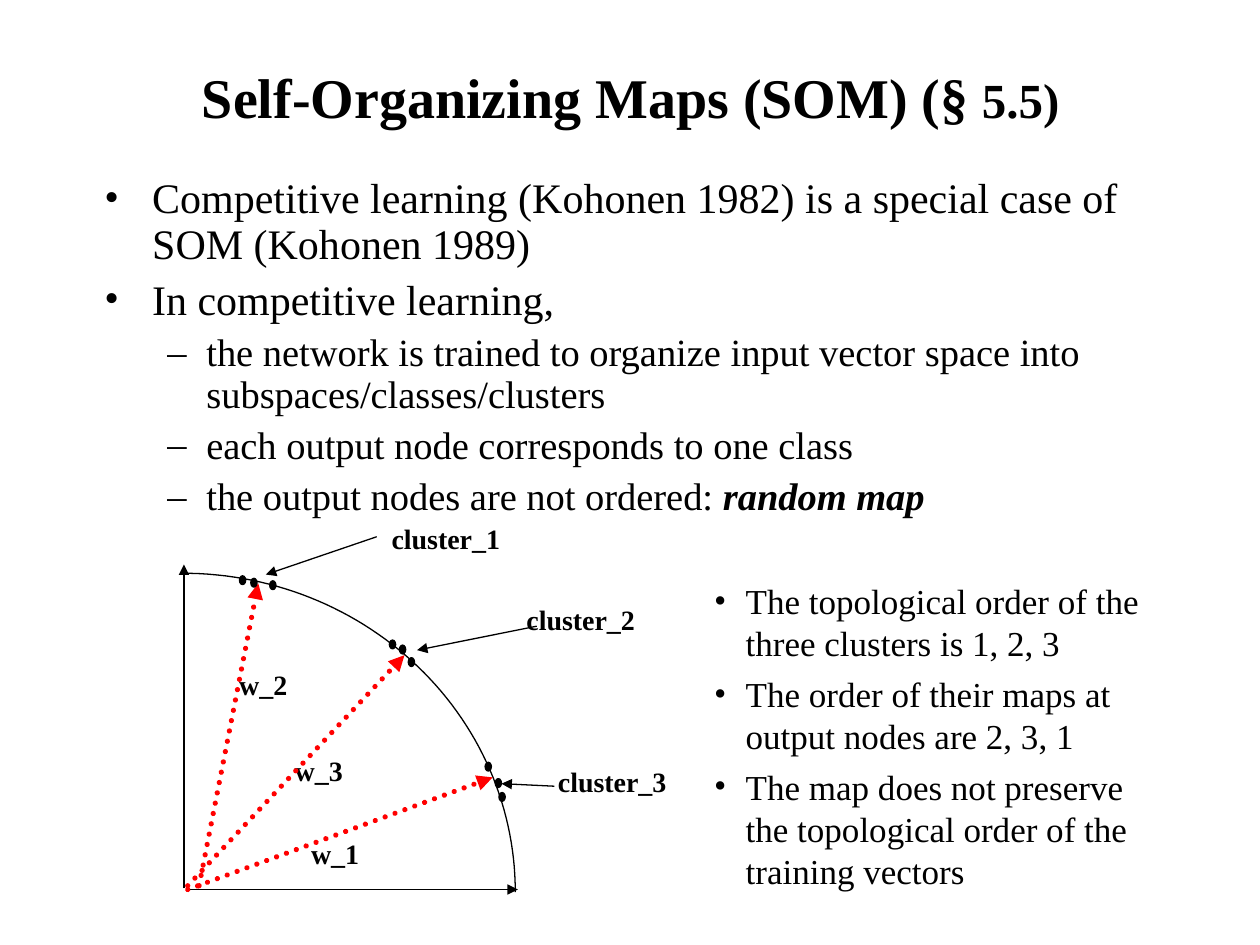
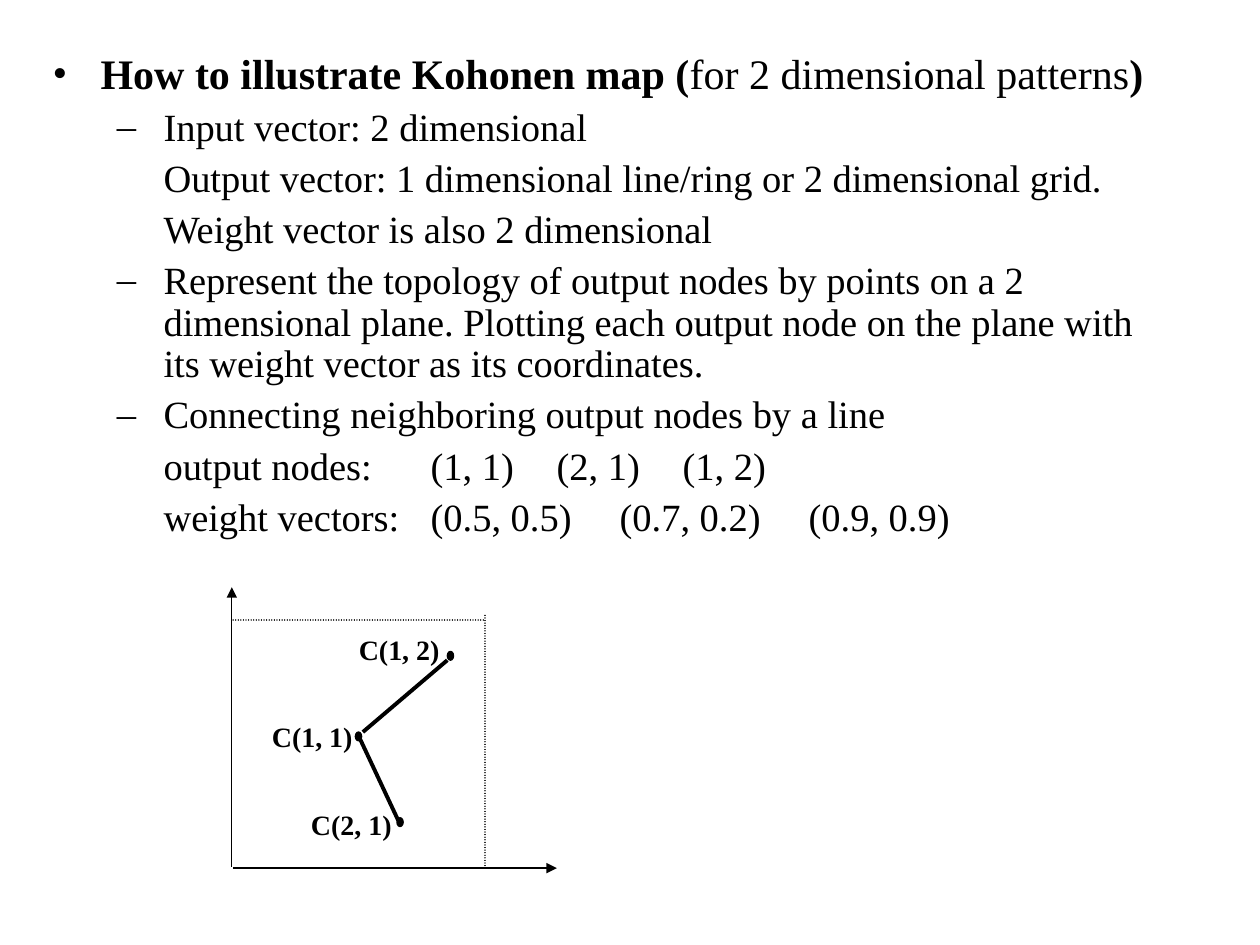
from dataclasses import dataclass
from math import cos, pi, sin

from lxml.etree import SubElement
from pptx import Presentation
from pptx.dml.color import RGBColor
from pptx.enum.dml import MSO_LINE
from pptx.enum.shapes import MSO_CONNECTOR, MSO_SHAPE
from pptx.enum.text import MSO_ANCHOR, PP_ALIGN
from pptx.oxml.ns import qn
from pptx.util import Inches, Pt

FONT = "Times New Roman"
COLORS = {"ink": "000000", "weight": "FF0000"}
DOT_WIDTH, DOT_HEIGHT = 0.05, 0.07
LABEL_HEIGHT = 0.37


@dataclass(frozen=True)
class Segment:
    text: str
    bold: bool = False
    italic: bool = False
    size: float = 0  # 0 keeps the size of the paragraph style


@dataclass(frozen=True)
class Style:
    size: float
    space_before: float = 0
    line_spacing: float = 1.0
    margin: float = 0
    indent: float = 0
    bullet: str = ""
    align: PP_ALIGN = PP_ALIGN.LEFT
    tabs: tuple[float, ...] = ()


@dataclass(frozen=True)
class Item:
    style: Style
    segments: tuple[Segment, ...]


@dataclass(frozen=True)
class Line:
    start: tuple[float, float]
    end: tuple[float, float]
    width: float = 0.75
    color: str = "ink"
    arrow: bool = False
    dotted: bool = False


@dataclass(frozen=True)
class Label:
    text: str
    left: float
    top: float
    width: float


TITLE = Style(32, align=PP_ALIGN.CENTER)
LABEL = Style(16)
TOPIC = Style(24, 6, 0.9, 0.38, -0.38, "•")
POINT = Style(22, 5.5, 0.9, 0.81, -0.31, "–")
WIDE_POINT = Style(22, 5.5, 0.9, 0.88, -0.37, "–")
CONTINUATION = Style(22, 5.5, 0.9, 0, 0.88, tabs=(2.88, 4.2, 5.56))
REMARK = Style(20, 5, 1.0, 0.25, -0.25, "•")


def item(style: Style, text: str) -> Item:
    return Item(style, (Segment(text),))


def rgb(name: str) -> RGBColor:
    return RGBColor.from_string(COLORS[name])


def format_paragraph(paragraph, style: Style, is_first: bool) -> None:
    paragraph.alignment = style.align
    paragraph.line_spacing = style.line_spacing
    paragraph.space_before = Pt(0 if is_first else style.space_before)
    properties = paragraph._p.get_or_add_pPr()
    properties.set("marL", str(Inches(style.margin)))
    properties.set("indent", str(Inches(style.indent)))
    if style.bullet:
        bullet_color = SubElement(properties, qn("a:buClr"))
        SubElement(bullet_color, qn("a:srgbClr"), val=COLORS["ink"])
        SubElement(properties, qn("a:buFont"), typeface=FONT)
        SubElement(properties, qn("a:buChar"), char=style.bullet)
    else:
        SubElement(properties, qn("a:buNone"))
    if style.tabs:
        tab_list = SubElement(properties, qn("a:tabLst"))
        for position in style.tabs:
            SubElement(tab_list, qn("a:tab"), pos=str(Inches(position)), algn="l")


def add_text(slide, left: float, top: float, width: float, height: float,
             items: list[Item], anchor: MSO_ANCHOR = MSO_ANCHOR.TOP) -> None:
    box = slide.shapes.add_textbox(Inches(left), Inches(top), Inches(width), Inches(height))
    frame = box.text_frame
    frame.word_wrap = True
    frame.vertical_anchor = anchor
    for index, entry in enumerate(items):
        paragraph = frame.add_paragraph() if index else frame.paragraphs[0]
        format_paragraph(paragraph, entry.style, index == 0)
        for segment in entry.segments:
            run = paragraph.add_run()
            run.text = segment.text
            run.font.name = FONT
            run.font.size = Pt(segment.size or entry.style.size)
            run.font.bold = segment.bold
            run.font.italic = segment.italic
            run.font.color.rgb = rgb("ink")


def add_label(slide, label: Label) -> None:
    add_text(slide, label.left, label.top, label.width, LABEL_HEIGHT,
             [Item(LABEL, (Segment(label.text, bold=True),))])


def add_line(slide, line: Line) -> None:
    points = [Inches(value) for value in (*line.start, *line.end)]
    connector = slide.shapes.add_connector(MSO_CONNECTOR.STRAIGHT, *points)
    connector.line.color.rgb = rgb(line.color)
    connector.line.width = Pt(line.width)
    properties = connector._element.spPr
    outline = properties.find(qn("a:ln"))
    if line.dotted:
        connector.line.dash_style = MSO_LINE.ROUND_DOT
        outline.set("cap", "rnd")
    if line.arrow:
        SubElement(outline, qn("a:tailEnd"), type="triangle")
    SubElement(properties, qn("a:effectLst"))


def add_dot(slide, left: float, top: float) -> None:
    dot = slide.shapes.add_shape(MSO_SHAPE.OVAL, Inches(left), Inches(top),
                                 Inches(DOT_WIDTH), Inches(DOT_HEIGHT))
    dot.shadow.inherit = False
    dot.fill.solid()
    dot.fill.fore_color.rgb = rgb("ink")
    dot.line.color.rgb = rgb("ink")
    dot.line.width = Pt(0.75)


def add_quarter_arc(slide, center: tuple[float, float], radii: tuple[float, float]) -> None:
    steps = 60
    angles = [pi / 2 * step / steps for step in range(steps + 1)]
    points = [(Inches(center[0] + radii[0] * sin(angle)),
               Inches(center[1] - radii[1] * cos(angle))) for angle in angles]
    builder = slide.shapes.build_freeform(*points[0])
    builder.add_line_segments(points[1:], close=False)
    arc = builder.convert_to_shape()
    arc.shadow.inherit = False
    arc.fill.background()
    arc.line.color.rgb = rgb("ink")
    arc.line.width = Pt(0.75)


def add_diagram(slide, labels: list[Label], lines: list[Line],
                dots: list[tuple[float, float]]) -> None:
    for label in labels:
        add_label(slide, label)
    for line in lines:
        add_line(slide, line)
    for left, top in dots:
        add_dot(slide, left, top)


def build_som_slide(slide) -> None:
    # Title and main points
    title = (Segment("Self-Organizing Maps (SOM) (§", bold=True),
             Segment(" 5.5)", bold=True, size=28))
    add_text(slide, 0.4, 0.29, 9.21, 0.94, [Item(TITLE, title)], MSO_ANCHOR.MIDDLE)
    add_text(slide, 0.73, 1.36, 8.5, 2.93, [
        item(TOPIC, "Competitive learning (Kohonen 1982) is a special case of SOM (Kohonen 1989)"),
        item(TOPIC, "In competitive learning,"),
        item(POINT, "the network is trained to organize input vector space into "
                    "subspaces/classes/clusters"),
        item(POINT, "each output node corresponds to one class"),
        Item(POINT, (Segment("the output nodes are not ordered: "),
                     Segment("random map", bold=True, italic=True))),
    ])

    # Clusters on the unit arc with their weight vectors
    add_quarter_arc(slide, (1.45, 7.08), (2.64, 2.53))
    labels = [
        Label("w_1", 2.37, 6.59, 0.82),
        Label("w_2", 1.8, 5.25, 0.82),
        Label("w_3", 2.24, 5.93, 0.82),
        Label("cluster_1", 3.01, 4.09, 1.1),
        Label("cluster_2", 4.08, 4.73, 1.1),
        Label("cluster_3", 4.33, 6.02, 1.1),
    ]
    axes = [
        Line((1.46, 7.05), (1.46, 4.48), width=1.5, arrow=True),
        Line((1.48, 7.06), (4.11, 7.06), arrow=True),
    ]
    weights = [Line(start, end, 3, "weight", arrow=True, dotted=True) for start, end in (
        ((1.58, 7.03), (2.05, 4.63)),
        ((1.49, 7.03), (3.21, 5.2)),
        ((1.49, 7.06), (3.91, 6.17)),
    )]
    pointers = [Line(start, end, arrow=True) for start, end in (
        ((2.99, 4.26), (2.11, 4.56)),
        ((4.26, 4.97), (3.31, 5.16)),
        ((4.4, 6.24), (3.98, 6.22)),
    )]
    samples = [
        (1.9, 4.57), (1.99, 4.59), (2.14, 4.61),
        (3.09, 5.08), (3.17, 5.12), (3.24, 5.22),
        (3.85, 6.05), (3.93, 6.18), (3.96, 6.29),
    ]
    add_diagram(slide, labels, axes + weights + pointers, samples)

    # Remarks beside the diagram
    add_text(slide, 5.57, 4.55, 3.76, 2.58, [
        item(REMARK, "The topological order of the three clusters is 1, 2, 3"),
        item(REMARK, "The order of their maps at output nodes are 2, 3, 1"),
        item(REMARK, "The map does not preserve the topological order of the training vectors"),
    ])


def build_kohonen_slide(slide) -> None:
    # Steps for drawing the map
    add_text(slide, 0.32, 0.37, 9.06, 4.25, [
        Item(TOPIC, (Segment("How to illustrate Kohonen map (", bold=True),
                     Segment("for 2 dimensional patterns"), Segment(")", bold=True))),
        item(WIDE_POINT, "Input vector: 2 dimensional"),
        item(CONTINUATION, "Output vector: 1 dimensional line/ring or 2 dimensional grid."),
        item(CONTINUATION, "Weight vector is also 2 dimensional"),
        item(WIDE_POINT, "Represent the topology of output nodes by points on a 2 dimensional "
                         "plane. Plotting each output node on the plane with its weight "
                         "vector as its coordinates."),
        item(WIDE_POINT, "Connecting neighboring output nodes by a line"),
        item(CONTINUATION, "output nodes:\t(1, 1)\t(2, 1)\t(1, 2)"),
        item(CONTINUATION, "weight vectors:\t(0.5, 0.5)\t(0.7, 0.2)\t(0.9, 0.9)"),
    ])

    # Output nodes plotted at their weight vectors
    labels = [
        Label("C(1, 2)", 2.75, 4.97, 0.87),
        Label("C(1, 1)", 2.06, 5.66, 0.87),
        Label("C(2, 1)", 2.37, 6.36, 0.87),
    ]
    lines = [
        Line((1.84, 6.88), (1.84, 4.66), arrow=True),
        Line((1.85, 6.89), (4.42, 6.89), arrow=True),
        Line((3.85, 6.87), (3.85, 4.88), dotted=True),
        Line((1.85, 4.92), (3.84, 4.92), dotted=True),
        Line((2.88, 5.81), (3.55, 5.24), width=2.25),
        Line((2.86, 5.87), (3.16, 6.51), width=2.25),
    ]
    add_diagram(slide, labels, lines, [(2.82, 5.81), (3.15, 6.49), (3.55, 5.17)])


def main() -> None:
    presentation = Presentation()
    presentation.slide_width = Inches(10)
    presentation.slide_height = Inches(7.5)
    blank_layout = presentation.slide_layouts[6]
    for build in (build_som_slide, build_kohonen_slide):
        build(presentation.slides.add_slide(blank_layout))
    presentation.save("out.pptx")


if __name__ == "__main__":
    main()
